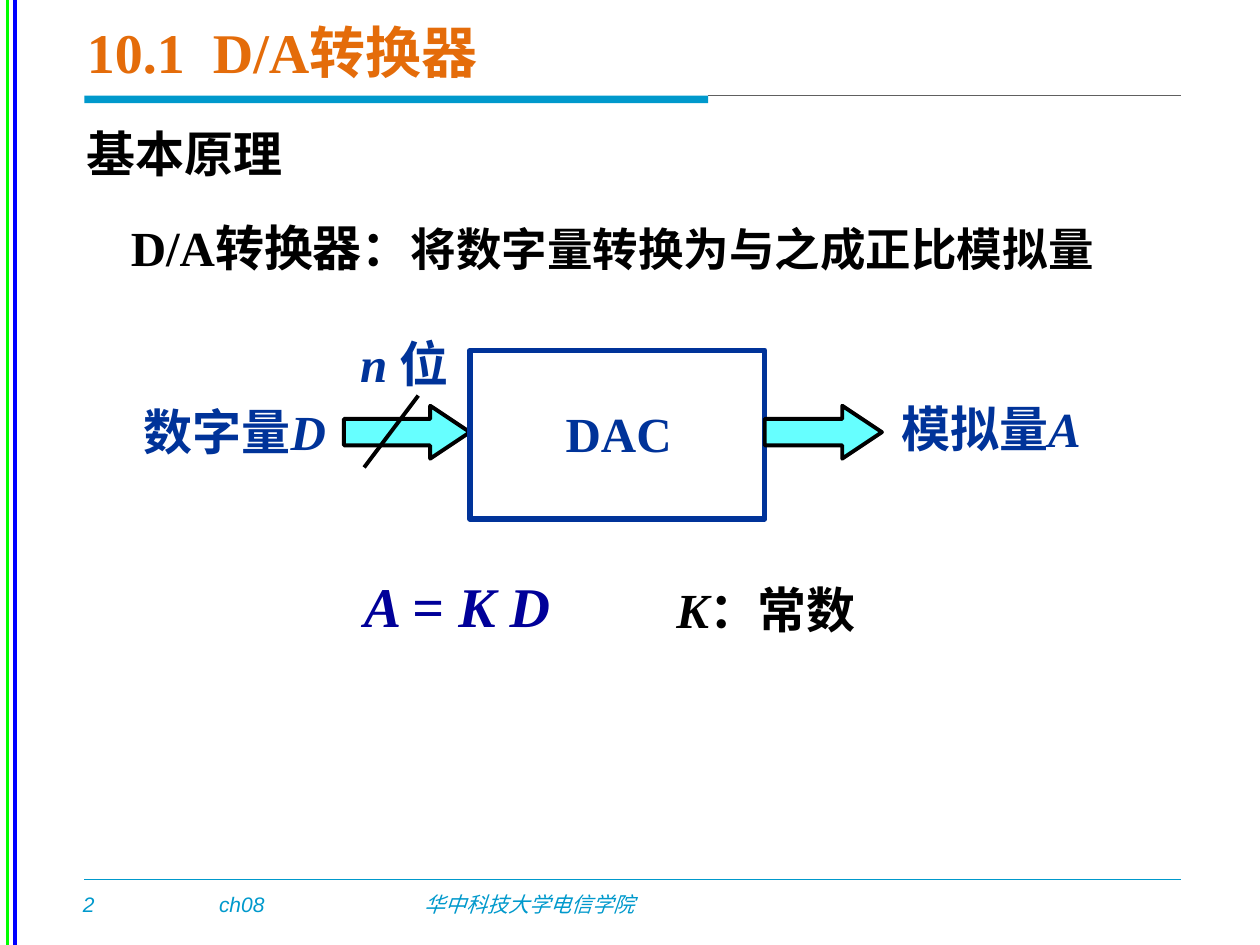
from lxml import etree
from pptx import Presentation
from pptx.dml.color import RGBColor
from pptx.enum.shapes import MSO_CONNECTOR, MSO_SHAPE
from pptx.enum.text import MSO_ANCHOR, MSO_AUTO_SIZE, PP_ALIGN
from pptx.oxml.ns import qn
from pptx.util import Inches, Pt

STRAIGHT = MSO_CONNECTOR.STRAIGHT
RECTANGLE, ARROW = MSO_SHAPE.RECTANGLE, MSO_SHAPE.RIGHT_ARROW
LEFT, CENTER, JUSTIFY = PP_ALIGN.LEFT, PP_ALIGN.CENTER, PP_ALIGN.JUSTIFY
MIDDLE, NO_FIT = MSO_ANCHOR.MIDDLE, MSO_AUTO_SIZE.NONE
color = RGBColor.from_string

TEAL, NAVY, BLACK = "0099CC", "003399", "000000"
SERIF = "Times New Roman"

prs = Presentation()
prs.slide_width, prs.slide_height = Inches(10), Inches(7.5)
COL, ROW = prs.slide_width / 100, prs.slide_height / 75
slide = prs.slides.add_slide(prs.slide_layouts[5])


def grid(x, y, w, h):
    """Turn columns and rows into lengths."""
    return [round(n) for n in (x * COL, y * ROW, w * COL, h * ROW)]


def write(box, runs, hexcolor, font=SERIF, bold=True, align=LEFT, spacing=None):
    """Fill a box with one paragraph; each run is (text, size, italic)."""
    frame = box.text_frame
    frame.word_wrap, frame.auto_size = True, NO_FIT
    paragraph = frame.paragraphs[0]
    paragraph.alignment, paragraph.line_spacing = align, spacing
    for text, size, italic in runs:
        run = paragraph.add_run()
        run.text = text
        look = {"name": font, "size": Pt(size), "bold": bold, "italic": italic}
        for key, value in look.items():
            setattr(run.font, key, value)
        run.font.color.rgb = color(hexcolor)


# Title and body text
title = slide.shapes.title
title.left, title.top, title.width, title.height = grid(5.9, 0.5, 72.1, 7.1)
write(title, [("10.1  D/A转换器", 32, False)], "E46C0A")
title.text_frame.vertical_anchor = MIDDLE

definition = [("D/A转换器：", 28, False), ("将数字量转换为与之成正比模拟量", 26, False)]
formula = [("A ", 32, True), ("= ", 32, False), ("K D", 32, True)]
constant = [("K", 28, True), ("：常数", 28, False)]
justified = {"align": JUSTIFY, "spacing": 1.1}
footer = {"font": "Arial", "bold": False}
for place, runs, hexcolor, look in [
    ((5.9, 9.3, 85.8, 5.7), [("基本原理", 28, False)], BLACK, {"font": "Calibri"}),
    ((9.4, 16.3, 85.4, 6.2), definition, BLACK, justified),
    ((27.9, 44.9, 19.8, 6.4), formula, "000099", {}),
    ((52.7, 45, 21.8, 6.2), constant, BLACK, justified),
    ((5.6, 70.3, 4.1, 3), [("2", 12, True)], TEAL, footer),
    ((16.4, 70.3, 8, 3), [("ch08", 12, True)], TEAL, footer),
    ((32.7, 70.3, 26.5, 3), [("华中科技大学电信学院", 12, True)], TEAL, footer),
]:
    write(slide.shapes.add_textbox(*grid(*place)), runs, hexcolor, **look)

# Block diagram: digital input, converter, analog output
diagram = slide.shapes.add_group_shape().shapes
for kind, place, fill, line, weight in [
    (ARROW, (27.3, 32.2, 10, 4.2), "66FFFF", BLACK, 2.25),
    (RECTANGLE, (37.3, 27.8, 23.4, 13.4), None, NAVY, 3),
    (ARROW, (60.7, 32.2, 9.3, 4.2), "66FFFF", BLACK, 2.25),
]:
    block = diagram.add_shape(kind, *grid(*place))
    block.shadow.inherit = False
    block.line.color.rgb, block.line.width = color(line), Pt(weight)
    if kind == ARROW:
        block.adjustments[0], block.adjustments[1] = 0.5, 0.75
        block.fill.solid()
        block.fill.fore_color.rgb = color(fill)
    else:
        block.fill.background()

for place, runs in [
    ((27.1, 26, 10, 5.7), [("n ", 28, True), ("位", 28, False)]),
    ((9.9, 31.4, 17.5, 5.7), [("数字量", 28, False), ("D", 28, True)]),
    ((43, 31.5, 12.2, 5.7), [("DAC", 28, False)]),
    ((69.9, 31.1, 17.5, 5.7), [("模拟量", 28, False), ("A", 28, True)]),
]:
    write(diagram.add_textbox(*grid(*place)), runs, NAVY, align=CENTER)

# Bar under the title, then all rules and the bus-width slash
bar = slide.shapes.add_shape(RECTANGLE, *grid(6.7, 7.6, 49.5, 0.6))
bar.shadow.inherit = False
bar.fill.solid()
bar.fill.fore_color.rgb = color(TEAL)
bar.line.fill.background()

for shapes, ends, hexcolor, weight in [
    (slide.shapes, (1.2, 0, 1.2, 75), "0000FF", 2),
    (slide.shapes, (0.6, 0, 0.6, 75), "00FF00", 2),
    (slide.shapes, (56.2, 7.6, 93.7, 7.6), "606060", 0.5),
    (slide.shapes, (6.7, 69.8, 93.7, 69.8), TEAL, 1),
    (diagram, (33.2, 31.4, 28.9, 37.1), BLACK, 2.25),
]:
    rule = shapes.add_connector(STRAIGHT, *grid(*ends))
    rule.line.color.rgb, rule.line.width = color(hexcolor), Pt(weight)
    etree.SubElement(rule.element.spPr, qn("a:effectLst"))

prs.save("out.pptx")
